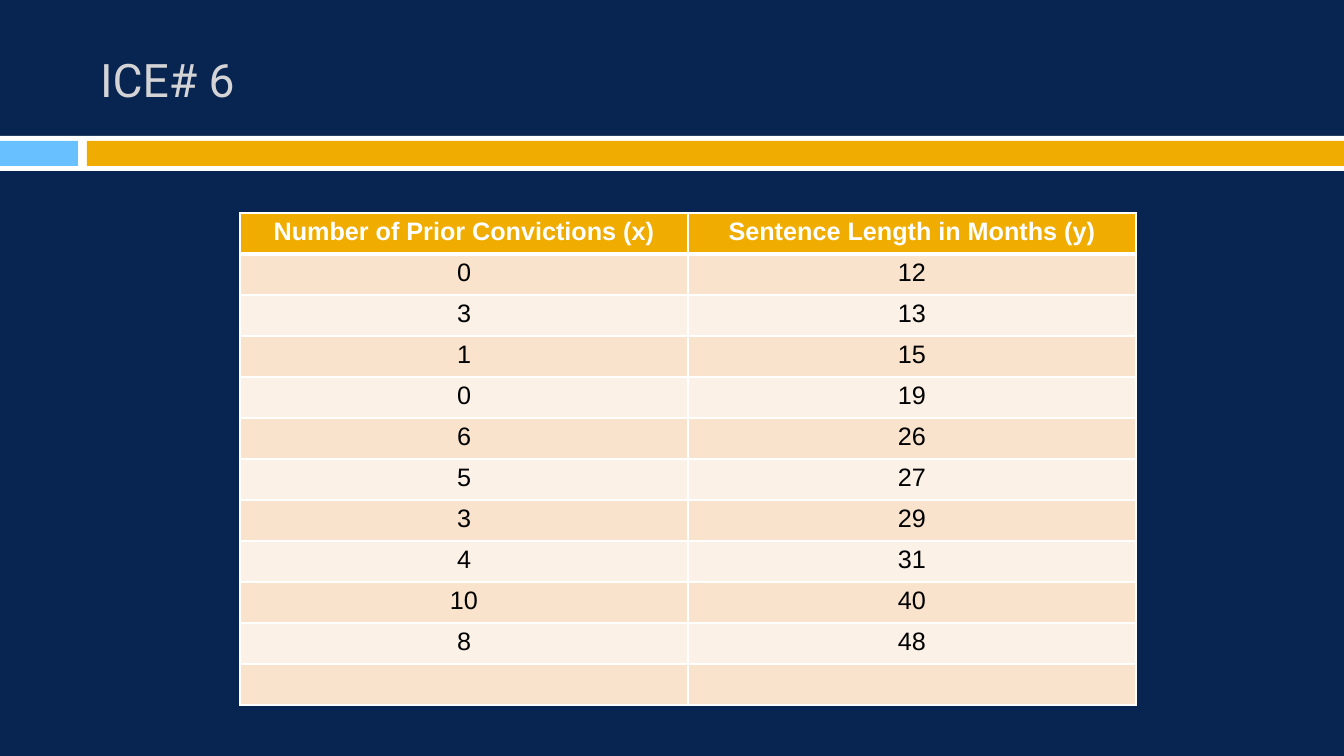
from lxml.etree import SubElement
from pptx import Presentation
from pptx.dml.color import RGBColor
from pptx.enum.shapes import MSO_SHAPE
from pptx.enum.text import MSO_ANCHOR, MSO_AUTO_SIZE, PP_ALIGN
from pptx.oxml.ns import qn
from pptx.util import Emu, Pt

SCALE = 914400 / 100.8
COLORS = {
    "navy": "082551",
    "white": "FFFFFF",
    "sky": "69C0FF",
    "gold": "F0AD00",
    "gray": "D4D4D6",
    "black": "000000",
    "peach": "F9E3CC",
    "cream": "FCF1E7",
}
HEADS = ("Number of Prior Convictions (x)", "Sentence Length in Months (y)")
PRIORS = (0, 3, 1, 0, 6, 5, 3, 4, 10, 8)
MONTHS = (12, 13, 15, 19, 26, 27, 29, 31, 40, 48)


def px(count):
    return Emu(round(count * SCALE))


def paint(fill, color):
    fill.solid()
    fill.fore_color.rgb = RGBColor.from_string(COLORS[color])


def write(frame, text, size=18, font="Arial", color="black", bold=False,
          align=PP_ALIGN.CENTER):
    para = frame.paragraphs[0]
    para.alignment = align
    run = para.add_run()
    run.text = text
    run.font.size = Pt(size)
    run.font.name = font
    run.font.bold = bold
    run.font.color.rgb = RGBColor.from_string(COLORS[color])


def add_bar(slide, color, left, top, width, height):
    bar = slide.shapes.add_shape(
        MSO_SHAPE.RECTANGLE, px(left), px(top), px(width), px(height))
    bar.shadow.inherit = False
    paint(bar.fill, color)
    bar.line.fill.background()


def add_title(slide, text):
    title = slide.shapes.title
    title.left, title.top = px(90), px(25)
    title.width, title.height = px(1199), px(109)
    frame = title.text_frame
    frame.auto_size = MSO_AUTO_SIZE.NONE
    frame.vertical_anchor = MSO_ANCHOR.MIDDLE
    write(frame, text, size=33, font="Roboto", color="gray",
          align=PP_ALIGN.LEFT)


def set_edges(cell, **widths):
    props = cell._tc.get_or_add_tcPr()
    for side in "LRTB":
        width = Pt(widths.get(side, 1))
        line = SubElement(props, qn("a:ln" + side), w=str(width))
        fill = SubElement(line, qn("a:solidFill"))
        SubElement(fill, qn("a:srgbClr"), val=COLORS["white"])


def add_grid(slide, rows):
    wide, high = 448, 41
    table = slide.shapes.add_table(
        len(rows), 2, px(240), px(213),
        px(2 * wide), px(high * len(rows))).table
    for col in table.columns:
        col.width = px(wide)
    for r, row in enumerate(rows):
        table.rows[r].height = px(high)
        head = r == 0
        edges = {0: {"B": 3}, 1: {"T": 3}}.get(r, {})
        band = "gold" if head else "peach" if r % 2 else "cream"
        for c, value in enumerate(row):
            cell = table.cell(r, c)
            set_edges(cell, **edges)
            paint(cell.fill, band)
            if value != "":
                write(cell.text_frame, str(value), bold=head,
                      color="white" if head else "black")


def main():
    deck = Presentation()
    deck.slide_width, deck.slide_height = px(1344), px(756)
    slide = deck.slides.add_slide(deck.slide_layouts[5])
    paint(slide.background.fill, "navy")
    add_bar(slide, "white", 0, 136, 1344, 35)
    add_bar(slide, "sky", 0, 141, 78, 25)
    add_bar(slide, "gold", 87, 141, 1257, 25)
    add_title(slide, "ICE# 6")
    add_grid(slide, [HEADS, *zip(PRIORS, MONTHS), ("", "")])
    deck.save("out.pptx")


if __name__ == "__main__":
    main()
